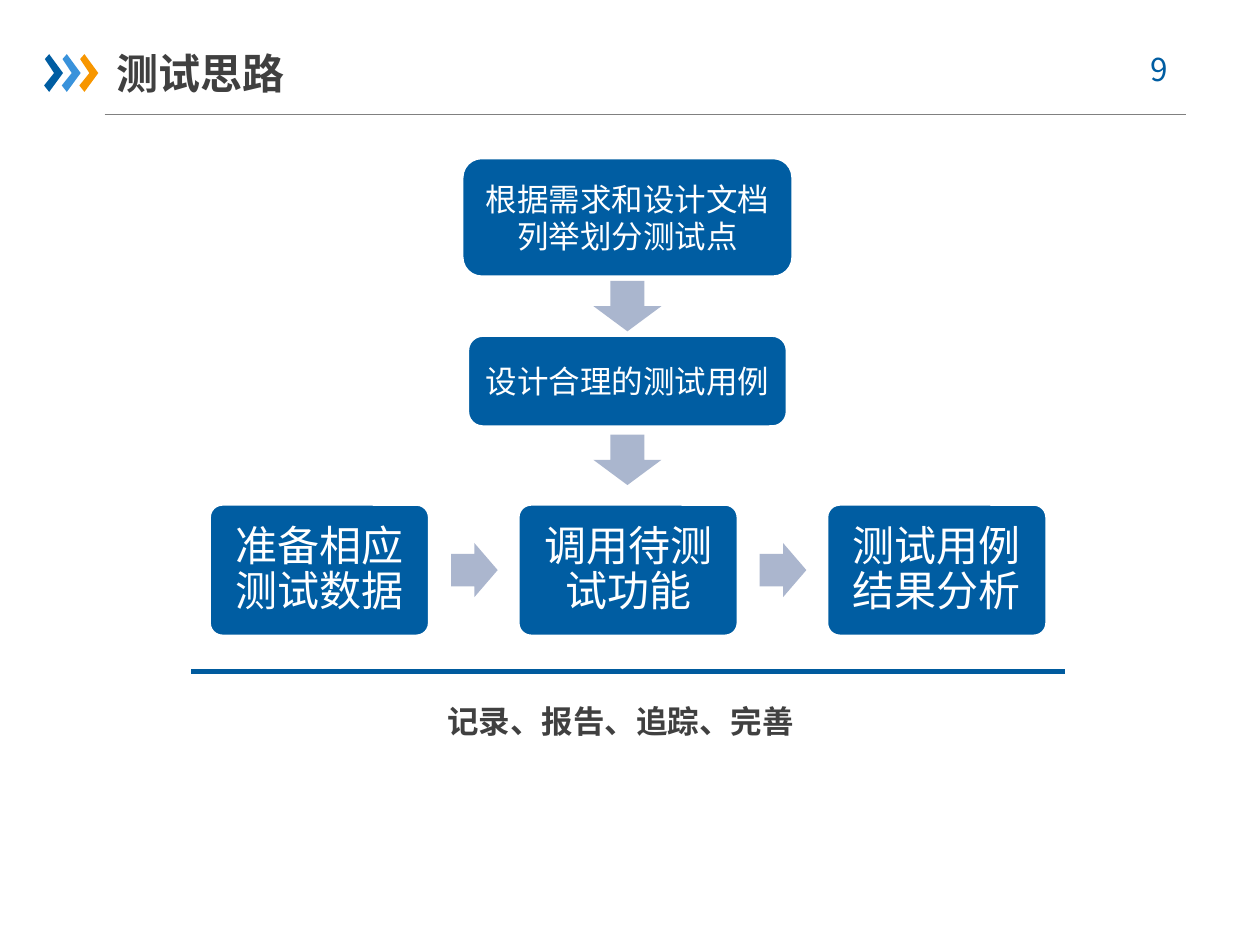
from lxml.etree import SubElement
from pptx import Presentation
from pptx.dml.color import RGBColor
from pptx.enum.shapes import MSO_CONNECTOR, MSO_SHAPE
from pptx.enum.text import MSO_ANCHOR, PP_ALIGN
from pptx.oxml.ns import qn
from pptx.util import Inches, Pt

BLUE, ARROW, DARK, WHITE = "005DA2", "AAB6CE", "404040", "FFFFFF"
CJK = "Noto Sans CJK SC"


def rgb(value):
    return RGBColor.from_string(value)


def write(s, text, size, font, color, bold=False, align=PP_ALIGN.CENTER, spacing=None):
    tf = s.text_frame
    tf.text = text
    for p in tf.paragraphs:
        p.alignment = align
        if spacing:
            p.line_spacing = spacing
        for r in p.runs:
            r.font.name, r.font.size, r.font.bold = font, Pt(size), bold
            r.font.color.rgb = rgb(color)
            SubElement(r.font._element, qn("a:ea")).set("typeface", CJK)


def add_label(slide, box, text, size, font, color, wrap=True, **style):
    s = slide.shapes.add_textbox(*map(Inches, box))
    s.text_frame.word_wrap = wrap
    write(s, text, size, font, color, **style)


def add_block(slide, kind, box, fill, outline=None, adjust=()):
    s = slide.shapes.add_shape(kind, *map(Inches, box))
    s.shadow.inherit = False
    s.fill.solid()
    s.fill.fore_color.rgb = rgb(fill)
    if outline:
        s.line.color.rgb = rgb(outline)
        s.line.width = Pt(2)
    else:
        s.line.fill.background()
    for i, value in enumerate(adjust):
        s.adjustments[i] = value
    return s


def add_step(slide, box, text, size, inset=None, adjust=(), spacing=None):
    s = add_block(slide, MSO_SHAPE.ROUNDED_RECTANGLE, box, BLUE, WHITE, adjust)
    tf = s.text_frame
    tf.word_wrap = True
    tf.vertical_anchor = MSO_ANCHOR.MIDDLE
    if inset:
        tf.margin_left = tf.margin_right = tf.margin_top = tf.margin_bottom = Inches(inset)
    write(s, text, size, "Calibri", WHITE, spacing=spacing)


def add_rule(slide, left, right, y, color, width):
    line = slide.shapes.add_connector(
        MSO_CONNECTOR.STRAIGHT, *map(Inches, (left, y, right, y)))
    line.line.color.rgb = rgb(color)
    line.line.width = Pt(width)
    SubElement(line._element.spPr, qn("a:effectLst"))


def add_chevron(slide, left, top, width, height, color):
    outline = [(0.04, 0.13), (0.27, 0), (1, 0.5), (0.27, 1), (0, 0.83), (0.53, 0.5)]
    points = [(Inches(left + x * width), Inches(top + y * height)) for x, y in outline]
    builder = slide.shapes.build_freeform(*points[0])
    builder.add_line_segments(points[1:], close=True)
    s = builder.convert_to_shape()
    s.shadow.inherit = False
    s.fill.solid()
    s.fill.fore_color.rgb = rgb(color)
    s.line.fill.background()


def add_header(slide, left, top, width, title, number):
    add_rule(slide, left + 0.48, left + width, top + 0.58, "808080", 0.75)
    for i, color in enumerate((BLUE, "3992DB", "F79600")):
        add_chevron(slide, left + i * 0.14, top + 0.1, 0.15, 0.3, color)
    add_label(slide, (left + width - 0.55, top + 0.02, 0.73, 0.4), number, 18, CJK, BLUE)
    add_label(slide, (left + 0.48, top, 1.55, 0.5), title, 24, CJK, DARK,
              wrap=False, bold=True, align=PP_ALIGN.LEFT)


def add_vertical_flow(slide, center, steps, arrow_tops):
    for text, top, width, height in steps:
        add_step(slide, (center - width / 2, top, width, height), text, 18)
    for top in arrow_tops:
        add_block(slide, MSO_SHAPE.DOWN_ARROW, (center - 0.27, top, 0.54, 0.4), ARROW)


def add_horizontal_flow(slide, left, top, width, height, texts):
    step_width, arrow_width, arrow_height = 1.75, 0.37, 0.43
    pitch = (width - step_width) / (len(texts) - 1)
    for i, text in enumerate(texts):
        x = left + i * pitch
        add_step(slide, (x, top, step_width, height), text, 24,
                 inset=0.13, adjust=(0.1,), spacing=0.9)
        if i:
            arrow_left = x - 0.53
            add_block(slide, MSO_SHAPE.RIGHT_ARROW,
                      (arrow_left, top + (height - arrow_height) / 2,
                       arrow_width, arrow_height), "ABB6CE", adjust=(0.6, 0.5))


def add_footer(slide, left, top, width, text):
    add_rule(slide, left, left + width, top, "005B9E", 2.5)
    add_label(slide, (left + 1.93, top + 0.19, 3.06, 0.4), text, 18, "Arial", DARK,
              bold=True, align=PP_ALIGN.LEFT)


def main():
    prs = Presentation()
    prs.slide_width, prs.slide_height = Inches(10), Inches(7.5)
    slide = prs.slides.add_slide(prs.slide_layouts[6])
    add_header(slide, 0.35, 0.33, 9.06, "测试思路", "9 ")
    add_horizontal_flow(slide, 1.66, 4, 6.65, 1.05,
                        ("准备相应测试数据", "调用待测试功能", "测试用例结果分析"))
    add_vertical_flow(slide, 4.98,
                      (("根据需求和设计文档\n列举划分测试点", 1.25, 2.63, 0.95),
                       ("设计合理的测试用例", 2.66, 2.54, 0.73)),
                      (2.23, 3.45))
    add_footer(slide, 1.52, 5.33, 6.93, "记录、报告、追踪、完善")
    prs.save("out.pptx")


if __name__ == "__main__":
    main()
